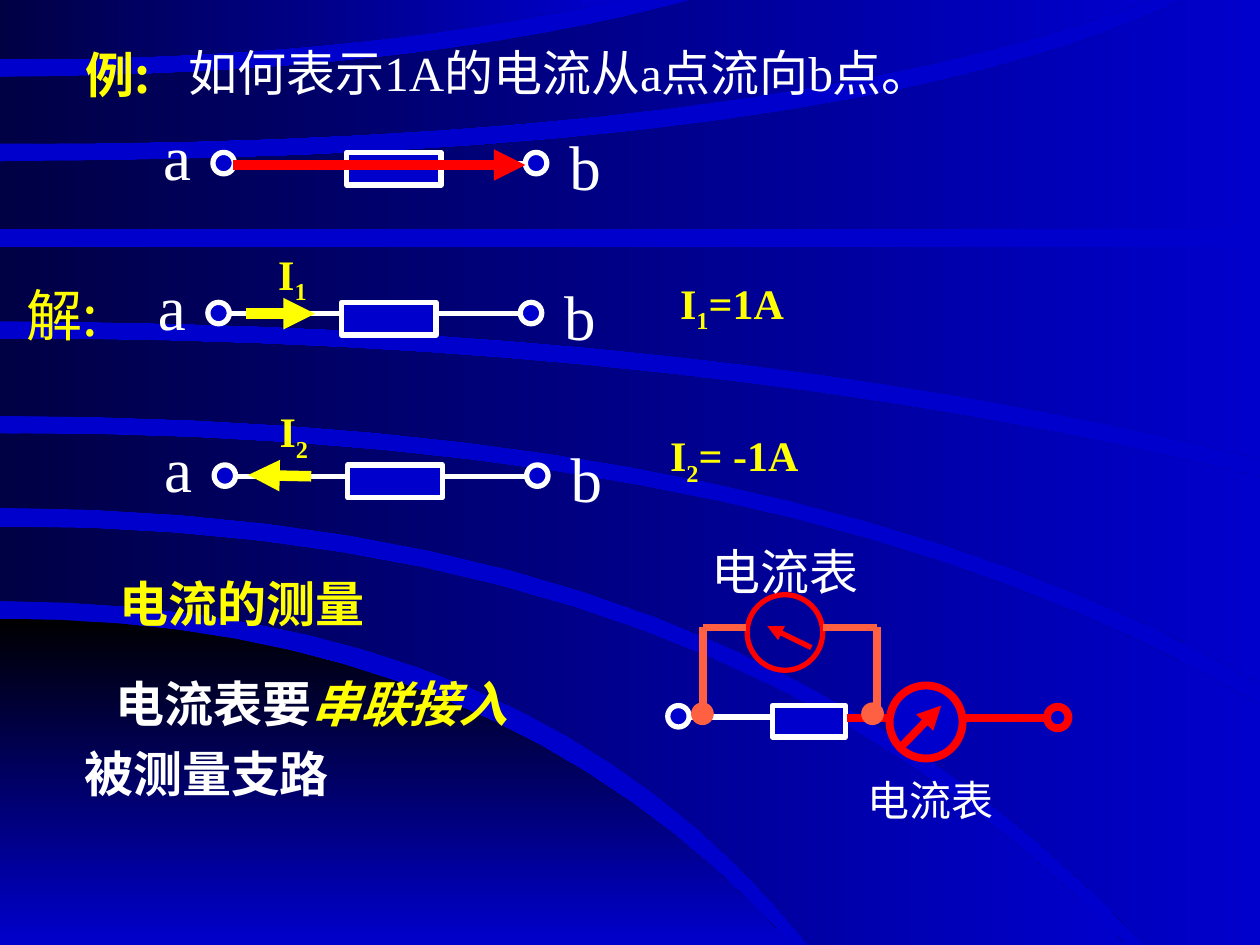
"""Build the slide on reference directions and measurement of current."""
from lxml.etree import SubElement
from pptx import Presentation
from pptx.dml.color import RGBColor
from pptx.enum.shapes import MSO_CONNECTOR, MSO_SHAPE
from pptx.enum.text import MSO_ANCHOR, PP_ALIGN
from pptx.oxml.ns import qn
from pptx.util import Inches, Pt

BLUE = RGBColor(0x00, 0x00, 0xCC)
NAVY = RGBColor(0x00, 0x00, 0x44)
BLACK = RGBColor(0x00, 0x00, 0x00)
WHITE = RGBColor(0xFF, 0xFF, 0xFF)
YELLOW = RGBColor(0xFF, 0xFF, 0x00)
RED = RGBColor(0xFF, 0x00, 0x00)
CORAL = RGBColor(0xFF, 0x60, 0x41)
SERIF, SANS, SANS_JP = "Times New Roman", "Noto Sans CJK SC", "Noto Sans CJK JP"

CURVE_STEPS = 16
HILL = ((4.91, 3.93, 6.28, 7.5), (7.5, 3, 6.28, 7.5), [])
BANDS = [
    ((4.18, 5.75, 8.93, 7.5), (4.77, 4.25, 6.42, 7.5), []),
    ((3.44, 6.4, 10, 5.6), (4.03, 5.88, 9.09, 7.5), [(10, 7.5)]),
    ((2.69, 5.54, 10, 3.79), (3.3, 6.3, 10, 5.42), []),
    ((1.96, 5, 10, 1.96), (2.55, 5.64, 10, 3.64), []),
    ((1.28, 6.7, 9.4, 0), (1.82, 5, 10, 1.82), [(10, 0)]),
    ((0.61, 3.25, 5.5, 0), (1.14, 6.1, 9.13, 0), []),
    ((0, 2.5, 4.91, 0), (0.47, 2.78, 4.91, 0), []),
]

RESISTOR_CIRCUITS = [(1.69, 1.21), (1.65, 2.4), (1.7, 3.69)]
CURRENT_ARROWS = [((1.85, 1.31), (4.17, 1.31), RED), ((1.95, 2.49), (2.5, 2.49), YELLOW),
                  ((2.47, 3.78), (1.97, 3.77), YELLOW)]
CURRENT_LABELS = [((2.11, 1.92, 0.92, 0.5), "1", ""), ((2.12, 3.17, 1.19, 0.5), "2", ""),
                  ((5.3, 2.15, 1.4, 0.5), "1", "=1A"), ((5.22, 3.36, 1.5, 0.5), "2", "= -1A")]
CAPTIONS = [
    ((1.4, 0.29, 7.79, 0.57), "如何表示1A的电流从a点流向b点。", 28, WHITE, SERIF, False),
    ((0.11, 2.18, 1.5, 0.63), "解:", 32, YELLOW, SANS_JP, False),
    ((0.85, 4.5, 2.15, 0.57), "电流的测量", 28, YELLOW, SANS, True),
    ((5.55, 4.25, 1.72, 0.57), "电流表", 28, WHITE, SERIF, False),
    ((6.79, 6.1, 1.5, 0.5), "电流表", 24, WHITE, SERIF, False),
]
SERIES_RULE = [("电流表要", WHITE, False), ("串联接入", YELLOW, True), ("被测量支路", WHITE, False)]
PARALLEL_WIRES = [((5.92, 4.98), (5.58, 4.98)), ((6.53, 4.98), (6.96, 4.98)),
                  ((5.58, 4.98), (5.58, 5.69)), ((6.96, 4.98), (6.96, 5.7))]


def style(font, size, color, name, bold=False):
    font.size, font.bold, font.name = Pt(size), bold, name
    font.color.rgb = color
    SubElement(font._element, qn("a:ea")).set("typeface", SANS if name == SERIF else name)


def curve(start_y, bend_x, end_x, end_y):
    points = []
    for i in range(CURVE_STEPS + 1):
        t = i / CURVE_STEPS
        points.append((2 * t * (1 - t) * bend_x + t * t * end_x,
                       start_y + t * t * (end_y - start_y)))
    return points


def add_band(s, band, start, angle):
    top, bottom, corner = band
    points = curve(*top) + corner + curve(*bottom)[::-1]
    fb = s.shapes.build_freeform(Inches(points[0][0]), Inches(points[0][1]))
    fb.add_line_segments([(Inches(x), Inches(y)) for x, y in points[1:]])
    sp = fb.convert_to_shape()
    sp.shadow.inherit = False
    sp.line.fill.background()
    sp.fill.gradient()
    sp.fill.gradient_angle = angle
    for stop, color in zip(sp.fill.gradient_stops, (start, BLUE)):
        stop.color.rgb = color


def add_part(s, kind, box, line, width=3, fill=BLUE):
    sp = s.shapes.add_shape(kind, *map(Inches, box))
    sp.shadow.inherit = False
    if fill is None:
        sp.fill.background()
    else:
        sp.fill.solid()
        sp.fill.fore_color.rgb = fill
    sp.line.color.rgb, sp.line.width = line, Pt(width)


def add_wire(s, start, end, color, width=3, arrow=False):
    sp = s.shapes.add_connector(MSO_CONNECTOR.STRAIGHT, *map(Inches, start + end))
    sp.line.color.rgb, sp.line.width = color, Pt(width)
    if arrow:
        SubElement(sp.line._get_or_add_ln(), qn("a:tailEnd")).set("type", "triangle")
    SubElement(sp._element.spPr, qn("a:effectLst"))


def add_text(s, box, text="", wrap=True, anchor=MSO_ANCHOR.TOP):
    tf = s.shapes.add_textbox(*map(Inches, box)).text_frame
    tf.word_wrap, tf.vertical_anchor = wrap, anchor
    p = tf.paragraphs[0]
    if text:
        p.text = text
    return p


def add_resistor_circuit(s, x, y):
    for x1, x2 in ((0.08, 1.06), (1.81, 2.56)):
        add_wire(s, (x + x1, y + 0.09), (x + x2, y + 0.09), WHITE)
    add_part(s, MSO_SHAPE.RECTANGLE, (x + 1.06, y, 0.75, 0.26), WHITE)
    for dx in (0, 2.48):
        add_part(s, MSO_SHAPE.OVAL, (x + dx, y, 0.17, 0.17), WHITE)
    for text, dx, dy in (("a", -0.5, -0.33), ("b", 2.73, -0.25)):
        p = add_text(s, (x + dx, y + dy, 0.43, 0.7), text, False, MSO_ANCHOR.MIDDLE)
        p.alignment = PP_ALIGN.CENTER
        style(p.font, 36, WHITE, SERIF)


def add_ammeter_circuit(s):
    add_wire(s, (5.39, 5.69), (6.13, 5.69), WHITE)
    add_part(s, MSO_SHAPE.RECTANGLE, (6.13, 5.6, 0.58, 0.25), WHITE)
    add_part(s, MSO_SHAPE.OVAL, (5.3, 5.6, 0.17, 0.17), WHITE)
    for x1, x2 in ((6.72, 7.06), (7.64, 8.47)):
        add_wire(s, (x1, 5.7), (x2, 5.7), RED, 4.5)
    add_part(s, MSO_SHAPE.OVAL, (8.31, 5.61, 0.17, 0.17), RED, 4.5)
    add_part(s, MSO_SHAPE.OVAL, (5.93, 4.72, 0.6, 0.6), RED, 3, None)
    for start, end in PARALLEL_WIRES:
        add_wire(s, start, end, CORAL, 4.5)
    add_wire(s, (6.44, 5.14), (6.09, 4.97), RED, 3, True)
    for x in (5.49, 6.84):
        add_part(s, MSO_SHAPE.OVAL, (x, 5.58, 0.17, 0.17), CORAL, 0.75, CORAL)
    add_part(s, MSO_SHAPE.OVAL, (7.06, 5.44, 0.58, 0.58), RED, 4.5)
    add_wire(s, (7.14, 5.94), (7.47, 5.6), RED, 4.5, True)


def main():
    prs = Presentation()
    prs.slide_width, prs.slide_height = Inches(10), Inches(7.5)
    s = prs.slides.add_slide(prs.slide_layouts[5])
    s.background.fill.solid()
    s.background.fill.fore_color.rgb = BLUE
    add_band(s, HILL, BLACK, 270)
    for band in BANDS:
        add_band(s, band, NAVY, 0)

    title = s.shapes.title
    title.element.getparent().append(title.element)
    title.left, title.top, title.width, title.height = map(Inches, (0.58, 0, 8.5, 1.17))
    title.text_frame.vertical_anchor = MSO_ANCHOR.MIDDLE
    p = title.text_frame.paragraphs[0]
    p.text, p.alignment = "例:", PP_ALIGN.LEFT
    style(p.font, 28, YELLOW, SANS, True)

    for x, y in RESISTOR_CIRCUITS:
        add_resistor_circuit(s, x, y)
    for start, end, color in CURRENT_ARROWS:
        add_wire(s, start, end, color, 6, True)
    for box, index, value in CURRENT_LABELS:
        p = add_text(s, box)
        for text in filter(None, ("I", index, value)):
            r = p.add_run()
            r.text = text
            if text == index:
                r.font._element.set("baseline", "-25000")
        style(p.font, 24, YELLOW, SERIF, True)
    add_ammeter_circuit(s)
    for box, text, *look in CAPTIONS:
        style(add_text(s, box, text).font, *look)

    p = add_text(s, (0.57, 5.12, 3.92, 1.38), anchor=MSO_ANCHOR.MIDDLE)
    p.line_spacing = 1.2
    p._p.get_or_add_pPr().set("indent", str(Inches(0.25)))
    for text, color, italic in SERIES_RULE:
        r = p.add_run()
        r.text, r.font.italic = text, italic
        style(r.font, 28, color, SANS, True)
    prs.save("out.pptx")


if __name__ == "__main__":
    main()
